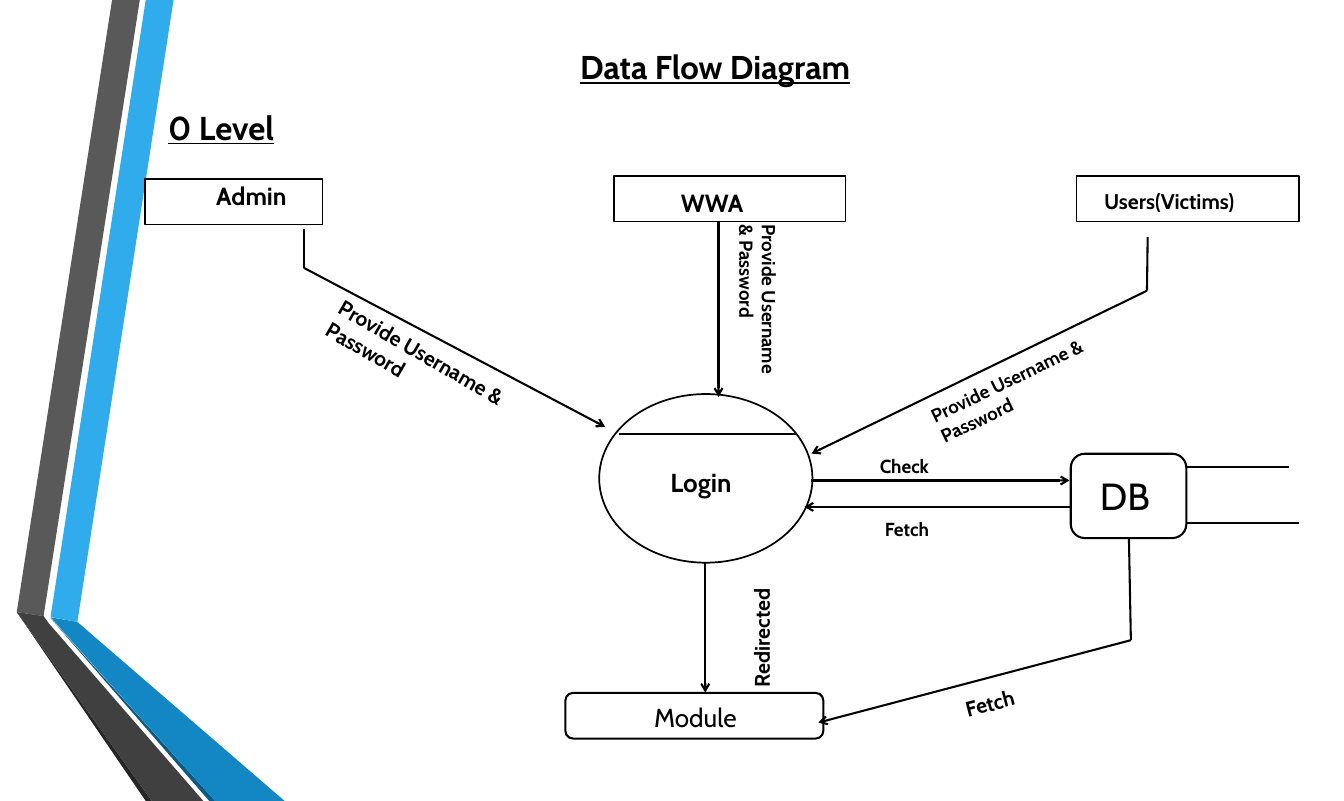
from dataclasses import dataclass

from lxml import etree
from pptx import Presentation
from pptx import util as u
from pptx.dml.color import RGBColor
from pptx.enum import shapes, text
from pptx.oxml import ns

Pt = u.Pt


@dataclass(frozen=True)
class Theme:
    font: str = "Cabin"
    ink: str = "000000"
    paper: str = "FFFFFF"
    blue: str = "30ACEC"
    blue_fold: str = "1287C3"
    blue_edge: str = "0C5A82"
    grey: str = "595959"
    grey_fold: str = "404040"
    grey_edge: str = "262626"
    title: float = 23.9
    level: float = 24
    database: float = 27.4
    process: float = 18.9
    entity: float = 18
    flow: float = 15.4
    small: float = 13.7
    outline: float = 1.25
    stroke: float = 1.5


T = Theme()
WIDTH, HEIGHT = 975.5, 581.3

RIBBONS = [
    (T.blue, [(36.7, 447.8), (56.2, 451.4), (126, 0), (105.8, 0)]),
    (T.grey, [(101.5, 0), (81.4, 0), (12.2, 444.2), (31.7, 447.1)]),
    (T.grey_edge, [(12.2, 444.2), (105.8, HEIGHT), (110.2, HEIGHT)]),
    (T.blue_edge, [(36.7, 448.6), (151.9, HEIGHT), (156.2, HEIGHT)]),
    (T.blue_fold, [(36.7, 448), (156.2, HEIGHT), (206.6, HEIGHT),
                   (56.2, 451.4)]),
    (T.grey_fold, [(147.6, HEIGHT), (35.3, 452.2), (31.7, 447.1),
                   (12.2, 444.2), (110.2, HEIGHT)]),
]

# kind, box, outline, label, size, bold, left and top margin
KIND = shapes.MSO_SHAPE
NODES = [
    (KIND.RECTANGLE, (105.1, 129.8, 128.9, 33.1), T.outline,
     "Admin", T.entity, True, 51.8, 1.2),
    (KIND.RECTANGLE, (445.9, 127.7, 167.8, 33.1), T.outline,
     "WWA", T.entity, True, 48.4, 8.6),
    (KIND.RECTANGLE, (781.4, 127.7, 161.3, 33.1), T.outline,
     "Users(Victims)", T.flow, True, 20, 9.1),
    (KIND.OVAL, (434.9, 286, 154.8, 122.4), T.outline,
     "Login", T.process, True, 29, 34.4),
    (KIND.ROUNDED_RECTANGLE, (777.2, 329.3, 83.9, 61.2), T.stroke,
     "DB", T.database, False, 18.2, 10.7),
    (KIND.ROUNDED_RECTANGLE, (410.4, 502.9, 187.2, 33.1), T.stroke,
     "Module", T.process, False, 62.7, 4.5),
]

# Each route runs through its points; the last segment of a flow has the arrow
FLOWS = [
    [(220.6, 166.3), (220.6, 194.4), (439.2, 309.8)],
    [(521.5, 160.6), (521.5, 288)],
    [(833, 172.1), (832.5, 211), (589, 329.2)],
    [(589, 348.7), (776.2, 348.7)],
    [(777.6, 367.9), (583.9, 367.9)],
    [(819.4, 390.4), (820.8, 464.6), (594, 524.4)],
    [(511.9, 407.7), (511.9, 502.6)],
]
RULES = [
    [(449.3, 314.8), (578.2, 314.8)],
    [(861.1, 339.1), (935.5, 339.1)],
    [(861.1, 379.6), (942.7, 379.6)],
]

# text, centre, width, height, size, rotation, left margin
CREDENTIALS = "Provide Username & Password"
FLOW_LABELS = [
    (CREDENTIALS, (302.4, 268.6), 156.2, 51.8, T.flow, 30, 7.2),
    (CREDENTIALS, (546.5, 221.8), 132, 47.5, T.small, 90, 7.2),
    (CREDENTIALS, (745, 282.7), 154.8, 47.5, T.small, -25.6, 7.2),
    ("Check", (675.7, 339.5), 115.9, 26, T.small, 0, 20.8),
    ("Fetch", (674.3, 386.8), 103, 28.8, T.small, 0, 19.4),
    ("Redirected", (556.5, 453.3), 105.1, 33.1, T.flow, -90, 7.2),
    ("Fetch", (724.3, 512.5), 92.2, 33.1, T.flow, -14.6, 23),
]


def rgb(color):
    return RGBColor.from_string(color)


def write(tf, content, *, size, bold=True, underline=None,
          align=text.PP_ALIGN.LEFT, left=7.2, top=3.6, right=7.2, bottom=3.6):
    tf.word_wrap = True
    tf.auto_size = text.MSO_AUTO_SIZE.NONE
    tf.vertical_anchor = text.MSO_ANCHOR.TOP
    tf.margin_left, tf.margin_top = Pt(left), Pt(top)
    tf.margin_right, tf.margin_bottom = Pt(right), Pt(bottom)
    p = tf.paragraphs[0]
    p.alignment = align
    r = p.add_run()
    r.text = content
    r.font.name, r.font.size = T.font, Pt(size)
    r.font.bold, r.font.underline = bold, underline
    r.font.color.rgb = rgb(T.ink)


def add_title(s, content):
    sp = s.shapes.title
    sp.left, sp.top, sp.width, sp.height = map(Pt, (246.6, 30.2, 545, 46))
    write(sp.text_frame, content, size=T.title, underline=True,
          align=text.PP_ALIGN.CENTER)


def add_ribbon(s, color, points):
    start, *rest = [(Pt(x), Pt(y)) for x, y in points]
    outline = s.shapes.build_freeform(*start)
    outline.add_line_segments(rest, close=True)
    sp = outline.convert_to_shape()
    sp.shadow.inherit = False
    sp.fill.solid()
    sp.fill.fore_color.rgb = rgb(color)
    sp.line.fill.background()


def add_node(s, kind, box, line, label, size, bold, left, top):
    sp = s.shapes.add_shape(kind, *map(Pt, box))
    sp.shadow.inherit = False
    sp.fill.solid()
    sp.fill.fore_color.rgb = rgb(T.paper)
    sp.line.color.rgb = rgb(T.ink)
    sp.line.width = Pt(line)
    write(sp.text_frame, label, size=size, bold=bold,
          left=left, top=top, right=0, bottom=0)


def add_route(s, points, arrow):
    """Join the points with straight lines, with an optional final arrowhead."""
    for start, end in zip(points, points[1:]):
        line = s.shapes.add_connector(shapes.MSO_CONNECTOR.STRAIGHT,
                                      *map(Pt, start + end))
        line.line.color.rgb = rgb(T.ink)
        line.line.width = Pt(T.stroke)
        sp_pr = line._element.spPr
        if arrow and end == points[-1]:
            etree.SubElement(sp_pr.find(ns.qn("a:ln")), ns.qn("a:tailEnd"),
                             type="arrow")
        etree.SubElement(sp_pr, ns.qn("a:effectLst"))


def add_label(s, content, centre, width, height, size, rotation=0, left=7.2,
              underline=None):
    x, y = centre
    sp = s.shapes.add_textbox(Pt(x - width / 2), Pt(y - height / 2),
                              Pt(width), Pt(height))
    sp.rotation = rotation
    write(sp.text_frame, content, size=size, left=left, underline=underline)


def main():
    prs = Presentation()
    prs.slide_width, prs.slide_height = Pt(WIDTH), Pt(HEIGHT)
    s = prs.slides.add_slide(prs.slide_layouts[5])
    add_title(s, "Data Flow Diagram")
    for ribbon in RIBBONS:
        add_ribbon(s, *ribbon)
    for node in NODES:
        add_node(s, *node)
    for points in FLOWS:
        add_route(s, points, arrow=True)
    for points in RULES:
        add_route(s, points, arrow=False)
    for label in FLOW_LABELS:
        add_label(s, *label)
    add_label(s, "0 Level", (175.7, 92.1), 187.2, 36, T.level,
              left=40, underline=True)
    prs.save("out.pptx")


if __name__ == "__main__":
    main()
